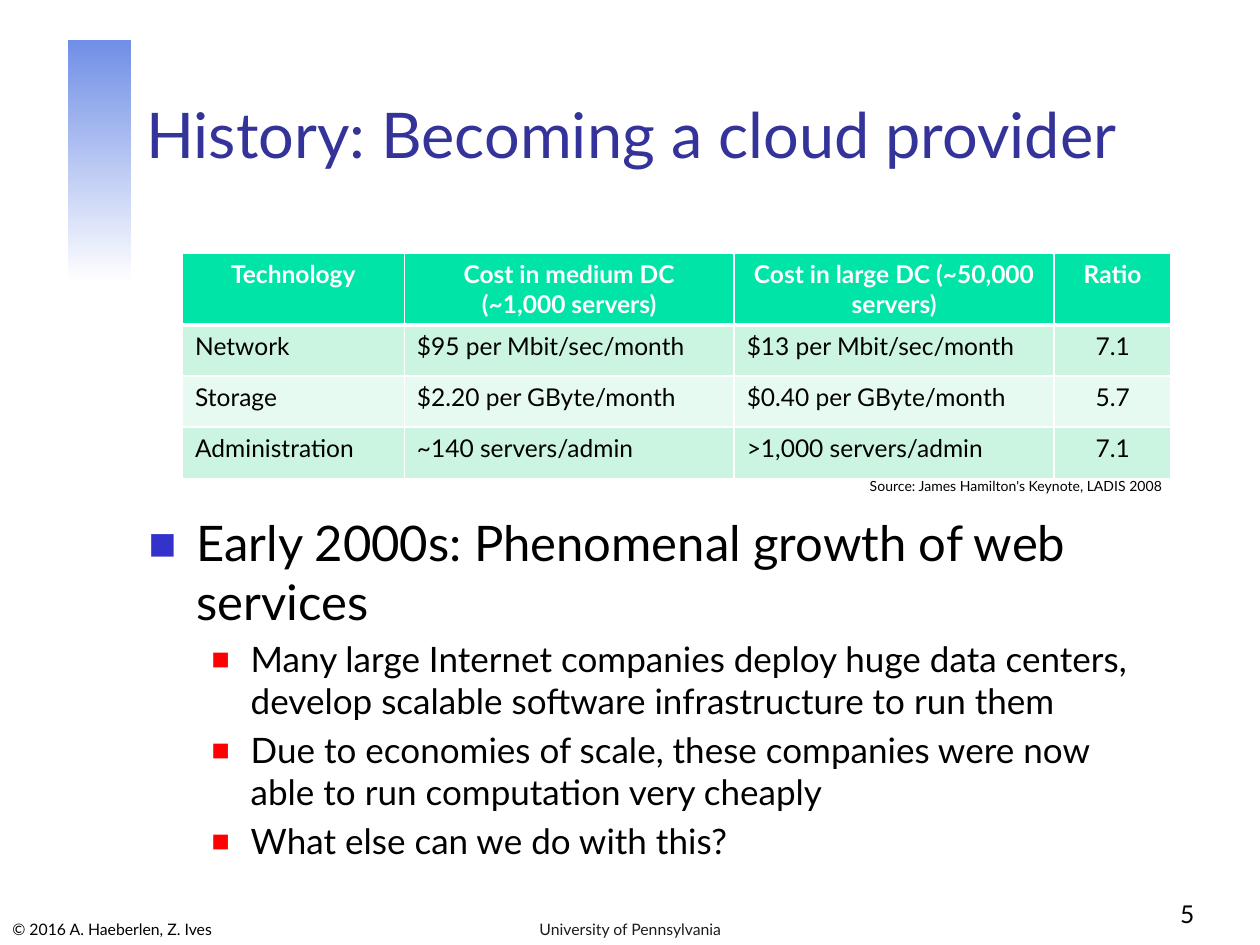
"""Build a slide on the economies of scale behind becoming a cloud provider."""
from copy import deepcopy

from lxml.etree import SubElement
from pptx import Presentation
from pptx.dml.color import RGBColor
from pptx.enum.shapes import MSO_SHAPE as Shape
from pptx.enum.text import MSO_ANCHOR as Anchor, MSO_AUTO_SIZE as AutoSize, PP_ALIGN as Align
from pptx.oxml.ns import qn
from pptx.util import Cm, Pt

FONT = "Lato"
BLACK = RGBColor(0x00, 0x00, 0x00)
WHITE = RGBColor(0xFF, 0xFF, 0xFF)
NAVY = RGBColor(0x33, 0x33, 0x99)
CHARCOAL = RGBColor(0x1C, 0x1C, 0x1C)
PERIWINKLE = RGBColor(0x70, 0x8F, 0xE6)
BULLET_BLUE = RGBColor(0x33, 0x33, 0xCC)
BULLET_RED = RGBColor(0xFF, 0x00, 0x00)
HEADER_GREEN = RGBColor(0x00, 0xE4, 0xA8)
BAND_GREENS = RGBColor(0xCC, 0xF5, 0xE1), RGBColor(0xE7, 0xFA, 0xF1)

COSTS = [
    ("Technology", "Cost in medium DC\v(~1,000 servers)", "Cost in large DC (~50,000 servers)", "Ratio"),
    ("Network", "$95 per Mbit/sec/month", "$13 per Mbit/sec/month", "7.1"),
    ("Storage", "$2.20 per GByte/month", "$0.40 per GByte/month", "5.7"),
    ("Administration", "~140 servers/admin", ">1,000 servers/admin", "7.1"),
]
COLUMN_WIDTHS = 4.47, 6.65, 6.45, 2.36
ROW_HEIGHTS = 1.42, 1.03, 1.03, 1.03
POINTS = [
    (0, "Early 2000s: Phenomenal growth of web services"),
    (1, "Many large Internet companies deploy huge data centers, "
        "develop scalable software infrastructure to run them"),
    (1, "Due to economies of scale, these companies were now \vable to run computation very cheaply"),
    (1, "What else can we do with this?"),
]
LEVELS = [
    {"size": 28, "margin": 0.97, "hang": 0.97, "color": BULLET_BLUE, "percent": 60},
    {"size": 20, "margin": 2.06, "hang": 0.79, "color": BULLET_RED, "percent": 55},
]


def write(paragraph, text, size=14, color=BLACK, bold=False, align=Align.LEFT):
    """Fill a paragraph with formatted text, where a vertical tab breaks the line."""
    paragraph.text = text
    paragraph.alignment = align
    for run in paragraph.runs:
        run.font.name = FONT
        run.font.size = Pt(size)
        run.font.bold = bold
        run.font.color.rgb = color
    for line_break in paragraph._p.findall(qn("a:br")):
        line_break.insert(0, deepcopy(paragraph.runs[0]._r.rPr))


def place(shape, left, top, width, height):
    """Move and size a shape in centimetres."""
    shape.left, shape.top, shape.width, shape.height = map(Cm, (left, top, width, height))


def add_label(slide, text, box, anchor=Anchor.BOTTOM, wrap=True, **text_format):
    """Add a text box holding one paragraph."""
    frame = slide.shapes.add_textbox(*map(Cm, box)).text_frame
    frame.word_wrap = wrap
    frame.auto_size = AutoSize.NONE if wrap else AutoSize.SHAPE_TO_FIT_TEXT
    frame.vertical_anchor = anchor
    write(frame.paragraphs[0], text, **text_format)


def add_accent(slide):
    """Add the fading bar beside the title."""
    bar = slide.shapes.add_shape(Shape.RECTANGLE, Cm(1.37), Cm(0.81), Cm(1.27), Cm(4.9))
    bar.shadow.inherit = False
    bar.line.fill.background()
    bar.fill.gradient()
    bar.fill.gradient_angle = 270
    for stop, color in zip(bar.fill.gradient_stops, (PERIWINKLE, WHITE)):
        stop.color.rgb = color


def set_title(title, text):
    """Place and write the slide title."""
    place(title, 2.69, 0.84, 21.64, 2.74)
    title.text_frame.auto_size = AutoSize.NONE
    title.text_frame.vertical_anchor = Anchor.BOTTOM
    write(title.text_frame.paragraphs[0], text, size=36, color=NAVY)


def set_bullet(paragraph, margin, hang, color, percent):
    """Give a paragraph a hanging square bullet."""
    properties = paragraph._p.get_or_add_pPr()
    properties.set("marL", str(Cm(margin)))
    properties.set("indent", str(-Cm(hang)))
    SubElement(SubElement(properties, qn("a:buClr")), qn("a:srgbClr"), val=str(color))
    SubElement(properties, qn("a:buSzPct"), val=str(percent * 1000))
    SubElement(properties, qn("a:buFont"), typeface=FONT)
    SubElement(properties, qn("a:buChar"), char="■")


def set_points(body):
    """Place the body and write its bulleted points."""
    place(body, 2.74, 10.21, 21.62, 7.39)
    frame = body.text_frame
    frame.auto_size = AutoSize.NONE
    for index, (level, text) in enumerate(POINTS):
        paragraph = frame.add_paragraph() if index else frame.paragraphs[0]
        style = dict(LEVELS[level])
        size = style.pop("size")
        paragraph.level = level
        paragraph.space_before = Pt(size * 0.2)
        write(paragraph, text, size=size)
        set_bullet(paragraph, **style)


def set_borders(cell, bottom):
    """Draw white borders around a cell, with the given bottom width in points."""
    properties = cell._tc.get_or_add_tcPr()
    for index, (side, width) in enumerate((("L", 1), ("R", 1), ("T", 1), ("B", bottom))):
        line = properties.makeelement(qn(f"a:ln{side}"), {"w": str(Pt(width))})
        SubElement(SubElement(line, qn("a:solidFill")), qn("a:srgbClr"), val=str(WHITE))
        properties.insert(index, line)


def add_costs(slide):
    """Add the table comparing medium and large data centers."""
    table = slide.shapes.add_table(
        len(COSTS), len(COLUMN_WIDTHS), Cm(3.68), Cm(5.11),
        Cm(sum(COLUMN_WIDTHS)), Cm(sum(ROW_HEIGHTS))).table
    for column, width in zip(table.columns, COLUMN_WIDTHS):
        column.width = Cm(width)
    for row, height in zip(table.rows, ROW_HEIGHTS):
        row.height = Cm(height)
    for row, texts in enumerate(COSTS):
        header = row == 0
        for column, text in enumerate(texts):
            cell = table.cell(row, column)
            cell.fill.solid()
            cell.fill.fore_color.rgb = HEADER_GREEN if header else BAND_GREENS[(row - 1) % 2]
            set_borders(cell, bottom=3 if header else 1)
            centered = header or column == len(texts) - 1
            write(cell.text_frame.paragraphs[0], text, color=WHITE if header else BLACK,
                  bold=header, align=Align.CENTER if centered else Align.LEFT)


def main():
    """Build and save the slide."""
    deck = Presentation()
    deck.slide_width, deck.slide_height = Cm(25.4), Cm(19.05)
    slide = deck.slides.add_slide(deck.slide_layouts[1])
    add_accent(slide)
    add_label(slide, "© 2016 A. Haeberlen, Z. Ives", (0, 18.34, 4.95, 0.71), size=9)
    set_title(slide.shapes.title, "History: Becoming a cloud provider")
    set_points(slide.placeholders[1])
    add_label(slide, "5", (19.05, 17.58, 5.28, 1.27), align=Align.RIGHT)
    add_label(slide, "University of Pennsylvania", (8.69, 18.34, 8.03, 0.71),
              size=9, color=CHARCOAL, align=Align.CENTER)
    add_costs(slide)
    add_label(slide, "Source: James Hamilton's Keynote, LADIS 2008", (17.22, 9.5, 6.53, 0.61),
              anchor=Anchor.TOP, wrap=False, size=8, align=Align.CENTER)
    deck.save("out.pptx")


if __name__ == "__main__":
    main()
